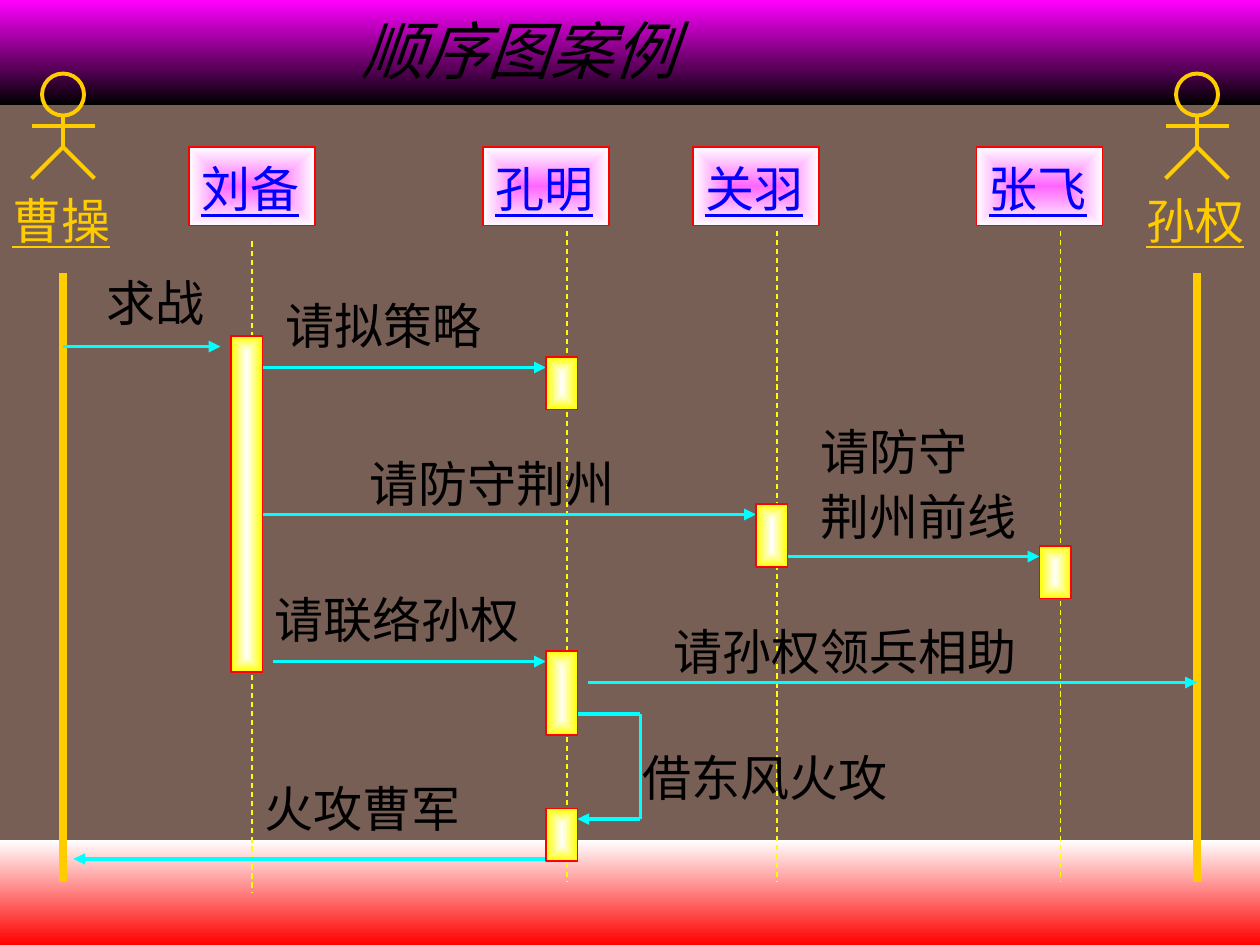
import pptx
import pptx.dml.color
import pptx.enum.dml
import pptx.enum.shapes
import pptx.enum.text
import pptx.oxml
import pptx.oxml.ns
import pptx.util

rgb = pptx.dml.color.RGBColor.from_string
qn = pptx.oxml.ns.qn
MSO = pptx.enum.shapes.MSO_SHAPE
TOP = pptx.enum.text.MSO_ANCHOR.TOP
LEFT = pptx.enum.text.PP_ALIGN.LEFT
DASH = pptx.enum.dml.MSO_LINE.DASH
NS = pptx.oxml.ns.nsdecls("a")
UNIT = 2.54 / 12
GOLD, CYAN, YELLOW, RED, WHITE, BLACK = "FFCC00", "00FFFF", "FFFF00", "FF0000", "FFFFFF", "000000"


def grid(*units):
    return [pptx.util.Cm(n * UNIT) for n in units]


def gradient(sp, start, end, from_centre=False):
    sp.fill.gradient()
    sp.fill.gradient_angle = 270
    for stop, colour in zip(sp.fill.gradient_stops, (start, end)):
        stop.color.rgb = rgb(colour)
    if from_centre:
        grad = sp._element.spPr.find(qn("a:gradFill"))
        centre = pptx.oxml.parse_xml(
            f'<a:path {NS} path="shape"><a:fillToRect l="50000" t="50000" r="50000" b="50000"/></a:path>')
        grad.replace(grad.find(qn("a:lin")), centre)


prs = pptx.Presentation()
prs.slide_width, prs.slide_height = grid(120, 90)
s = prs.slides.add_slide(prs.slide_layouts[5])
s.background.fill.solid()
s.background.fill.fore_color.rgb = rgb("775F55")

title = s.shapes.title
title.left, title.top, title.width, title.height = grid(0, 0, 120, 10)
gradient(title, "FF00FF", BLACK)
tf = title.text_frame
tf.auto_size = pptx.enum.text.MSO_AUTO_SIZE.NONE
tf.vertical_anchor = TOP
tf.margin_left, tf.margin_top, tf.margin_bottom = grid(34.4, 1.1, 0)
p = tf.paragraphs[0]
p.alignment = LEFT
r = p.add_run()
r.text = "顺序图案例"
r.font.name = "Noto Sans CJK SC"
r.font.size = pptx.util.Pt(36)
r.font.italic = True
r.font.color.rgb = rgb(BLACK)

footer = s.shapes.add_shape(MSO.RECTANGLE, *grid(0, 80, 120, 10))
footer.shadow.inherit = False
footer.line.fill.background()
gradient(footer, WHITE, RED)

lines = []
for x in (6, 114):
    head = s.shapes.add_shape(MSO.OVAL, *grid(x - 2, 7, 4, 4))
    head.shadow.inherit = False
    head.fill.background()
    head.line.color.rgb = rgb(GOLD)
    head.line.width = pptx.util.Pt(2.25)
    lines += [
        (x - 3, 12, x + 3, 12, GOLD, 2.25, False),
        (x, 11, x, 14, GOLD, 2.25, False),
        (x, 14, x - 3, 17, GOLD, 2.25, False),
        (x, 14, x + 3, 17, GOLD, 2.25, False),
        (x, 26, x, 84, GOLD, 4.5, False),
    ]

for x, top, bottom in [(24, 23, 85), (54, 22, 84), (74, 22, 84), (101, 22, 84)]:
    lines.append((x, top, x, bottom, YELLOW, 0.75, False))

for x1, y1, x2, y2, arrow in [
    (6, 33, 21, 33, True),
    (25, 35, 52, 35, True),
    (25, 49, 72, 49, True),
    (75, 53, 99, 53, True),
    (26, 63, 52, 63, True),
    (56, 65, 114, 65, True),
    (55, 68, 61, 68, False),
    (61, 68, 61, 78, False),
    (61, 78, 55, 78, True),
    (52, 81.8, 7, 81.8, True),
]:
    lines.append((x1, y1, x2, y2, CYAN, 2.25, arrow))

for x1, y1, x2, y2, colour, width, arrow in lines:
    c = s.shapes.add_connector(pptx.enum.shapes.MSO_CONNECTOR.STRAIGHT, *grid(x1, y1, x2, y2))
    c.line.color.rgb = rgb(colour)
    c.line.width = pptx.util.Pt(width)
    if colour == YELLOW:
        c.line.dash_style = DASH
    if arrow:
        c.line._get_or_add_ln().append(pptx.oxml.parse_xml(f'<a:tailEnd {NS} type="triangle"/>'))
    c._element.spPr.append(pptx.oxml.parse_xml(f"<a:effectLst {NS}/>"))

for x, y, height, core in [
    (22, 32, 32, WHITE),
    (52, 34, 5, WHITE),
    (72, 48, 6, WHITE),
    (99, 52, 5, WHITE),
    (52, 62, 8, "FFFFEF"),
    (52, 77, 5, "FFFFFB"),
]:
    bar = s.shapes.add_shape(MSO.RECTANGLE, *grid(x, y, 3, height))
    bar.shadow.inherit = False
    gradient(bar, core, YELLOW, True)
    bar.line.color.rgb = rgb(RED)
    bar.line.width = pptx.util.Pt(0.75)

texts = []
for x, name in [(18, "刘备"), (46, "孔明"), (66, "关羽"), (93, "张飞")]:
    box = s.shapes.add_shape(MSO.RECTANGLE, *grid(x, 14, 12, 7.5))
    box.shadow.inherit = False
    gradient(box, "FF66FF", WHITE, True)
    box.line.color.rgb = rgb(RED)
    box.line.width = pptx.util.Pt(0.75)
    texts.append((box, [name], "0000FF", True))

for x, y, width, height, words, colour in [
    (0, 17, 12, 7.3, ["曹操"], GOLD),
    (108, 17, 12, 7.3, ["孙权"], GOLD),
    (9, 24.8, 12, 7, ["求战"], BLACK),
    (26, 27, 22, 7, ["请拟策略"], BLACK),
    (34, 42, 28, 7, ["请防守荆州"], BLACK),
    (77, 39, 23, 13.6, ["请防守", "荆州前线"], BLACK),
    (25, 55, 28, 7, ["请联络孙权"], BLACK),
    (63, 58, 38, 7, ["请孙权领兵相助"], BLACK),
    (60, 70, 28, 7, ["借东风火攻"], BLACK),
    (24, 73, 24, 7, ["火攻曹军"], BLACK),
]:
    label = s.shapes.add_textbox(*grid(x, y, width, height))
    texts.append((label, words, colour, colour == GOLD))

for sp, words, colour, underline in texts:
    tf = sp.text_frame
    tf.word_wrap = True
    tf.vertical_anchor = TOP
    for i, word in enumerate(words):
        p = tf.add_paragraph() if i else tf.paragraphs[0]
        p.alignment = LEFT
        p.line_spacing = 1.1
        r = p.add_run()
        r.text = word
        r.font.name = "Times New Roman"
        r.font.size = pptx.util.Pt(28)
        r.font.underline = underline
        r.font.color.rgb = rgb(colour)

prs.save("out.pptx")
